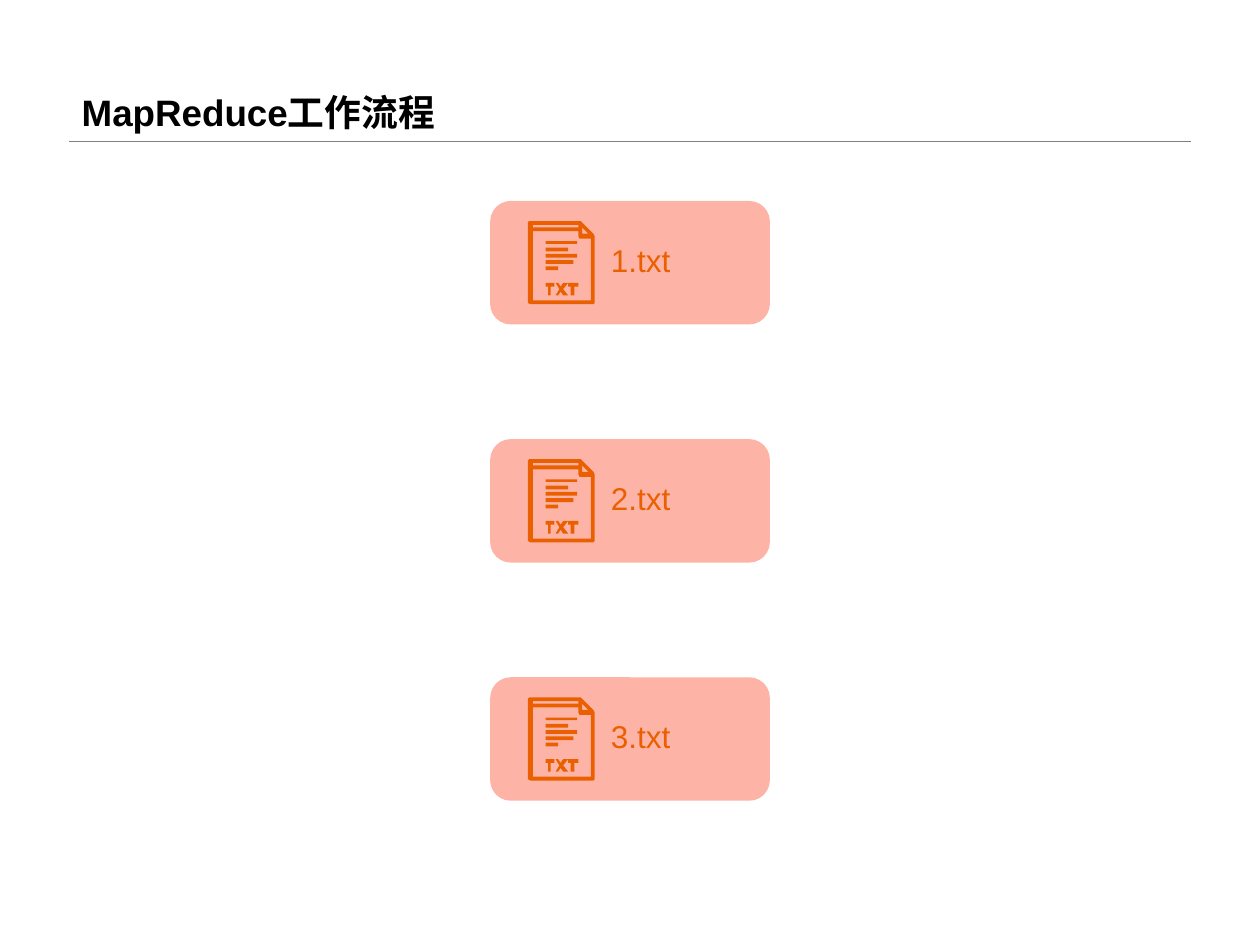
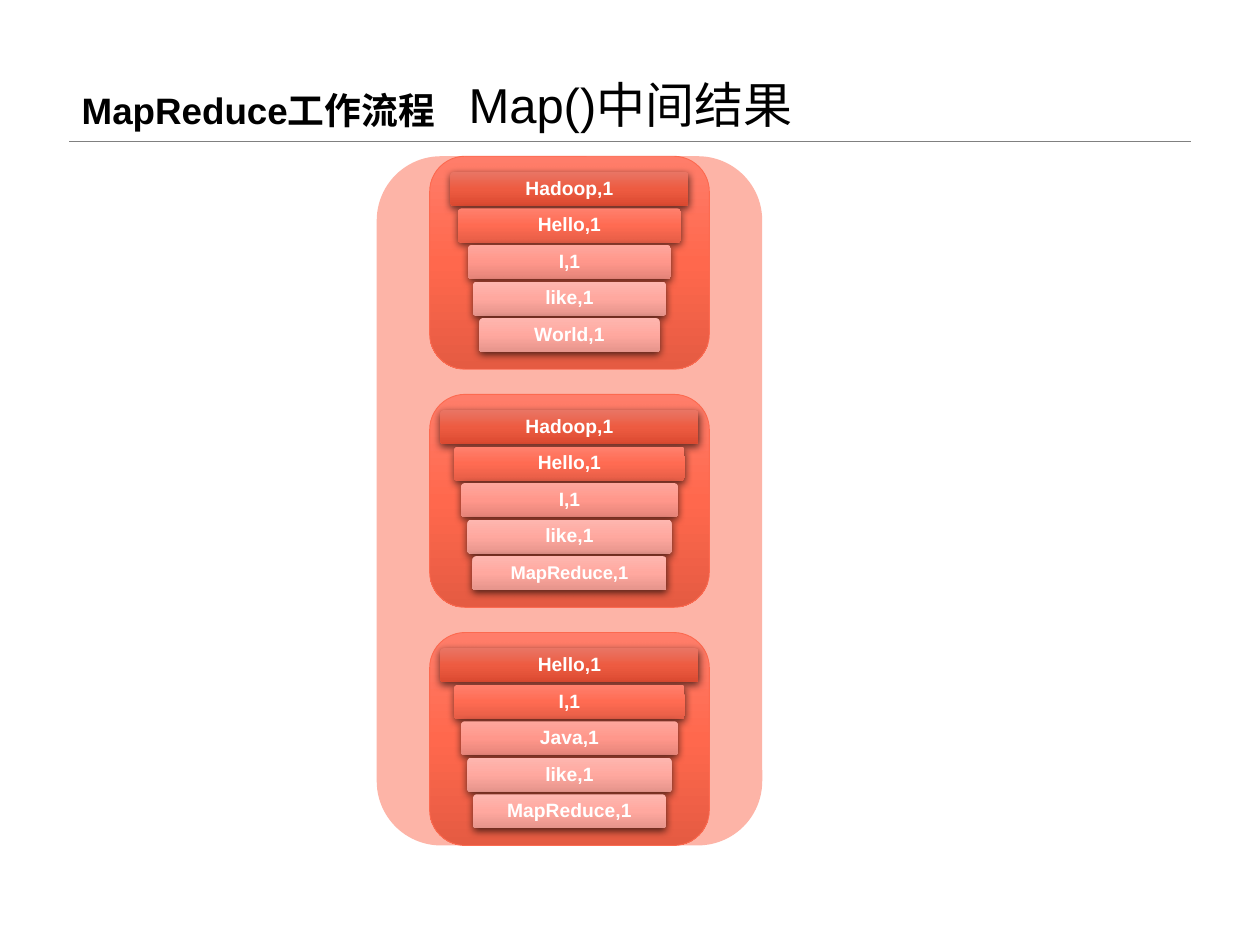
from copy import deepcopy
from dataclasses import dataclass

from lxml.etree import SubElement
from pptx import Presentation
from pptx.dml.color import RGBColor
from pptx.enum.shapes import MSO_CONNECTOR as Link, MSO_SHAPE as Preset
from pptx.enum.text import MSO_ANCHOR as Anchor, PP_ALIGN as Align
from pptx.oxml.ns import qn
from pptx.util import Inches, Pt


@dataclass(frozen=True)
class Theme:
    font: str = "Arial"
    ink: str = "000000"
    rule: str = "808080"
    coral: str = "FC6A50"
    orange: str = "EA6000"
    white: str = "FFFFFF"
    block: tuple = ("FF7D6A", "FF684D", "E55B42")
    title_size: float = 21
    subtitle_size: float = 28
    file_size: float = 18
    pair_size: float = 11
    long_pair_size: float = 10.5


THEME = Theme()

TITLE = "MapReduce工作流程"
SUBTITLE = "Map()中间结果"
FILES = ["1.txt", "2.txt", "3.txt"]
MAP_RESULTS = [
    ["Hadoop,1", "Hello,1", "I,1", "like,1", "World,1"],
    ["Hadoop,1", "Hello,1", "I,1", "like,1", "MapReduce,1"],
    ["Hello,1", "I,1", "Java,1", "like,1", "MapReduce,1"],
]
BAR_WIDTHS = [
    [1.89, 1.77, 1.61, 1.53, 1.43],
    [2.05, 1.83, 1.72, 1.62, 1.54],
    [2.05, 1.83, 1.72, 1.62, 1.53],
]
PALE = ("FEB6AF", "FFA89F", "E5948B")
BAR_SHADES = [
    ("E97564", "ED5B41", "DB4A31"),
    ("FF806D", "FF6B52", "E55D46"),
    ("FEA69C", "FF978B", "E58479"),
    PALE,
    PALE,
]
TIGHT_PAIRS = {(1, 4)}

SLIDE_W, SLIDE_H = 10, 7.5
MARGIN, RULE_Y = 0.55, 1.12
LANE_TOP, LANE_PITCH, LANE_W, LANE_H = 1.24, 1.89, 2.22, 1.69
FILE_H = 0.98
RESULT_CENTER, PANEL_W = 4.52, 3.06
BAR_OFFSET, BAR_PITCH, BAR_H = 0.125, 0.29, 0.27


def box(left, top, right, bottom):
    return [(left, top), (right, top), (right, bottom), (left, bottom)]


# 
ICON_OUTLINES = [
    [(1, 0), (41, 0), (42, 0.5), (52.5, 10.5), (53, 12), (53, 65), (52, 66.5),
     (1.5, 66.5), (0, 65), (0, 1)],
    [(3.5, 8), (3.5, 63), (50, 63), (50, 13.5), (41, 13.5), (39.5, 12), (39.5, 8)],
    [(43, 5), (43, 10), (48, 10)],
    box(3.5, 3, 39.5, 5)[::-1],
    *(box(14, 15.5 + 5.15 * row, right, 18.5 + 5.15 * row)
      for row, right in enumerate([39, 31.5, 39, 36.5, 24.5])),
    *([(x, 49), (x + 7.5, 49), (x + 7.5, 51.5), (x + 5, 51.5), (x + 5, 59),
       (x + 2.5, 59), (x + 2.5, 51.5), (x, 51.5)] for x in (13.5, 32)),
    [(21.5, 49), (24.5, 49), (26.5, 52), (28.5, 49), (31.5, 49), (28, 54),
     (31.5, 59), (28.5, 59), (26.5, 55.5), (24.5, 59), (21.5, 59), (25, 54)],
]


def rgb(code):
    return RGBColor.from_string(code)


def write(shape, text, size, color, bold=False):
    shape.text_frame.text = text
    paragraph = shape.text_frame.paragraphs[0]
    font = paragraph.runs[0].font
    font.name, font.size, font.bold = THEME.font, Pt(size), bold
    font.color.rgb = rgb(color)
    return paragraph


def add_label(slide, place, text, size, color, bold=False, anchor=Anchor.TOP):
    label = slide.shapes.add_textbox(*map(Inches, place))
    label.text_frame.word_wrap = True
    label.text_frame.vertical_anchor = anchor
    return write(label, text, size, color, bold)


def add_rounded(slide, place):
    rounded = slide.shapes.add_shape(Preset.ROUNDED_RECTANGLE, *map(Inches, place))
    rounded.shadow.inherit = False
    rounded.line.fill.background()
    return rounded


def add_translucent(slide, place):
    panel = add_rounded(slide, place)
    panel.fill.solid()
    panel.fill.fore_color.rgb = rgb(THEME.coral)
    tint = panel._element.spPr.find(".//" + qn("a:srgbClr"))
    SubElement(tint, qn("a:alpha"), val="50000")


def shade(shape, colors):
    shape.fill.gradient()
    stops = shape._element.spPr.find(".//" + qn("a:gsLst"))
    stops.append(deepcopy(stops[-1]))
    shape.fill.gradient_angle = 270
    for stop, color, position in zip(shape.fill.gradient_stops, colors, (0, 0.5, 1)):
        stop.color.rgb = rgb(color)
        stop.position = position


def cast_shadow(shape):
    effects = shape._element.spPr.find(qn("a:effectLst"))
    shadow = SubElement(effects, qn("a:outerShdw"), blurRad=str(Pt(4.5)),
                        dist=str(Pt(1.5)), dir="5400000", rotWithShape="0")
    black = SubElement(shadow, qn("a:srgbClr"), val=THEME.ink)
    SubElement(black, qn("a:alpha"), val="63000")


def start_slide(deck, title_top=0):
    slide = deck.slides.add_slide(deck.slide_layouts[6])
    rule = slide.shapes.add_connector(
        Link.STRAIGHT, *map(Inches, (MARGIN, RULE_Y, SLIDE_W - MARGIN, RULE_Y)))
    rule.line.color.rgb = rgb(THEME.rule)
    rule.line.width = Pt(0.25)
    SubElement(rule._element.spPr, qn("a:effectLst"))
    title = add_label(slide, (MARGIN, title_top, SLIDE_W - 2 * MARGIN, RULE_Y), TITLE,
                      THEME.title_size, THEME.ink, True, Anchor.BOTTOM)
    title.line_spacing = 0.9
    return slide


def add_txt_icon(slide, left, top):
    first, *others = ICON_OUTLINES
    pen = slide.shapes.build_freeform(*first[0], scale=Inches(0.01))
    pen.add_line_segments(first[1:], close=True)
    for outline in others:
        pen.move_to(*outline[0])
        pen.add_line_segments(outline[1:], close=True)
    icon = pen.convert_to_shape(Inches(left), Inches(top))
    icon.shadow.inherit = False
    icon.fill.solid()
    icon.fill.fore_color.rgb = rgb(THEME.orange)
    icon.line.fill.background()


def lane_y(lane):
    return LANE_TOP + lane * LANE_PITCH


def add_files(slide):
    left = (SLIDE_W - LANE_W) / 2
    for lane, name in enumerate(FILES):
        top = lane_y(lane) + (LANE_H - FILE_H) / 2
        add_translucent(slide, (left, top, LANE_W, FILE_H))
        add_label(slide, (left + 0.86, top + 0.27, 1.34, 0.4), name,
                  THEME.file_size, THEME.orange)
        add_txt_icon(slide, left + 0.3, top + 0.16)


def add_pair(slide, place, pair, size, colors):
    bar = add_rounded(slide, place)
    bar.adjustments[0] = 0.1
    shade(bar, colors)
    cast_shadow(bar)
    frame = bar.text_frame
    frame.margin_left = frame.margin_right = Inches(0.05)
    frame.margin_top = frame.margin_bottom = Inches(0.02)
    frame.vertical_anchor = Anchor.MIDDLE
    paragraph = write(bar, pair, size, THEME.white, True)
    paragraph.alignment = Align.CENTER
    paragraph.line_spacing = 0.9


def add_map_results(slide):
    panel_h = LANE_PITCH * (len(MAP_RESULTS) - 1) + LANE_H
    add_translucent(slide, (RESULT_CENTER - PANEL_W / 2, LANE_TOP, PANEL_W, panel_h))
    add_label(slide, (3.62, 0.54, 3.39, 0.57), SUBTITLE, THEME.subtitle_size, THEME.ink)
    for lane, (pairs, widths) in enumerate(zip(MAP_RESULTS, BAR_WIDTHS)):
        top = lane_y(lane)
        block = add_rounded(slide, (RESULT_CENTER - LANE_W / 2, top, LANE_W, LANE_H))
        shade(block, THEME.block)
        block.line.color.rgb = rgb(THEME.coral)
        block.line.width = Pt(0.5)
        for row, (pair, width, colors) in enumerate(zip(pairs, widths, BAR_SHADES)):
            size = THEME.long_pair_size if (lane, row) in TIGHT_PAIRS else THEME.pair_size
            place = (RESULT_CENTER - width / 2, top + BAR_OFFSET + row * BAR_PITCH,
                     width, BAR_H)
            add_pair(slide, place, pair, size, colors)


def main():
    deck = Presentation()
    deck.slide_width, deck.slide_height = Inches(SLIDE_W), Inches(SLIDE_H)
    add_files(start_slide(deck))
    add_map_results(start_slide(deck, title_top=-0.02))
    deck.save("out.pptx")


if __name__ == "__main__":
    main()
